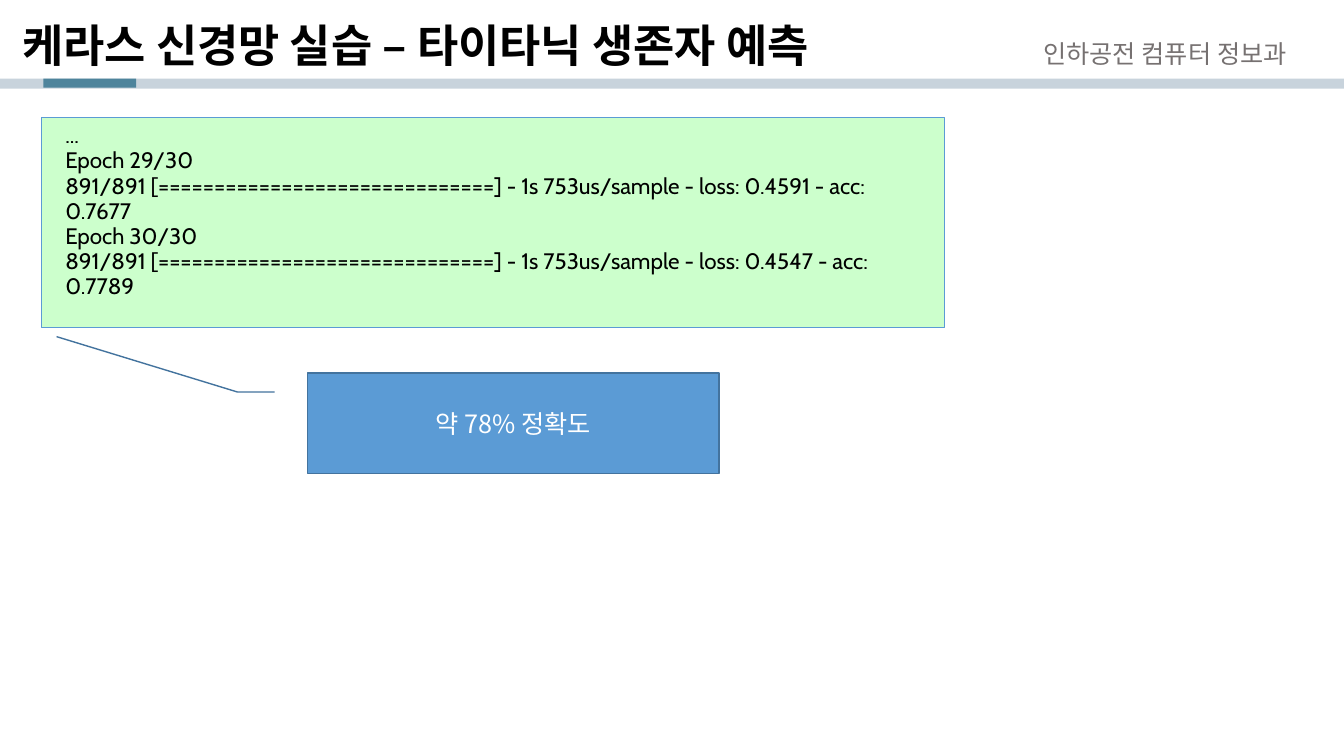
from dataclasses import dataclass
from typing import Optional

from lxml import etree
from pptx import Presentation
from pptx.dml import color
from pptx.enum import shapes, text
from pptx.oxml import ns
from pptx.util import Inches, Pt

HUES = {
    "rail": "98ACBD", "mark": "4E849C", "mint": "CCFFCC", "blue": "5B9BD5",
    "edge": "43739E", "gray": "767171", "black": "000000", "white": "FFFFFF",
}
SANS = "Noto Sans CJK KR"
KIND = shapes.MSO_SHAPE
LOG = """...
Epoch 29/30
891/891 [==============================] - 1s 753us/sample - loss: 0.4591 - acc: 0.7677
Epoch 30/30
891/891 [==============================] - 1s 753us/sample - loss: 0.4547 - acc: 0.7789"""


@dataclass
class Box:
    left: float
    top: float
    width: float
    height: float
    fill: str
    kind: KIND = KIND.RECTANGLE
    line: Optional[str] = None
    weight: float = 1
    alpha: int = 100


def hue(name: str) -> color.RGBColor:
    return color.RGBColor.from_string(HUES[name])


def place(shape, left: float, top: float, width: float, height: float) -> None:
    shape.left, shape.top = Inches(left), Inches(top)
    shape.width, shape.height = Inches(width), Inches(height)


def draw(slide, box: Box):
    shape = slide.shapes.add_shape(
        box.kind, Inches(box.left), Inches(box.top), Inches(box.width), Inches(box.height))
    shape.shadow.inherit = False
    shape.fill.solid()
    shape.fill.fore_color.rgb = hue(box.fill)
    if box.alpha < 100:
        tone = shape.fill._xPr.find(".//" + ns.qn("a:srgbClr"))
        etree.SubElement(tone, ns.qn("a:alpha"), val=str(box.alpha * 1000))
    if box.line:
        shape.line.color.rgb = hue(box.line)
        shape.line.width = Pt(box.weight)
    else:
        shape.line.fill.background()
    return shape


def write(shape, words: str, size: float, face: str, ink: str,
          align=text.PP_ALIGN.LEFT, anchor=text.MSO_ANCHOR.TOP, bold: bool = False):
    frame = shape.text_frame
    frame.text = words
    frame.vertical_anchor = anchor
    for para in frame.paragraphs:
        para.alignment = align
        for run in para.runs:
            font = run.font
            font.size, font.name, font.bold = Pt(size), face, bold
            font.color.rgb = hue(ink)
            etree.SubElement(run._r.get_or_add_rPr(), ns.qn("a:ea"), typeface=SANS)
    return frame


def head(slide) -> None:
    title = slide.shapes.title
    place(title, 0.06, 0.09, 13.22, 0.77)
    frame = write(title, "케라스 신경망 실습 – 타이타닉 생존자 예측", 32, "Calibri", "black",
                  anchor=text.MSO_ANCHOR.MIDDLE, bold=True)
    frame.auto_size = text.MSO_AUTO_SIZE.NONE
    frame.margin_left = Inches(0.16)
    frame.paragraphs[0].line_spacing = 0.9
    draw(slide, Box(0, 0.78, 13.33, 0.1, "rail", alpha=53))
    draw(slide, Box(0.43, 0.78, 0.92, 0.09, "mark"))
    label = slide.shapes.add_textbox(Inches(10.25), Inches(0.33), Inches(2.91), Inches(0.4))
    frame = write(label, "인하공전 컴퓨터 정보과", 18, SANS, "gray")
    frame.word_wrap = False
    frame.auto_size = text.MSO_AUTO_SIZE.SHAPE_TO_FIT_TEXT


def log(slide) -> None:
    panel = draw(slide, Box(0.41, 1.17, 8.96, 2.08, "mint", line="blue", weight=0.75))
    frame = write(panel, LOG, 16, "Cabin", "black")
    for para in frame.paragraphs:
        para.line_spacing = Pt(18)
        props = para._p.get_or_add_pPr()
        props.set("marL", str(Inches(0.14)))
        props.set("indent", "0")
        tabs = etree.SubElement(props, ns.qn("a:tabLst"))
        etree.SubElement(tabs, ns.qn("a:tab"), pos=str(Inches(0.28)), algn="l")


def note(slide) -> None:
    call = draw(slide, Box(3.05, 3.7, 4.08, 1, "blue", KIND.LINE_CALLOUT_2, "edge"))
    for spot, value in enumerate((0.19, -0.08, 0.19, -0.17, -0.36, -0.61)):
        call.adjustments[spot] = value
    write(call, "약 78% 정확도", 18, SANS, "white",
          text.PP_ALIGN.CENTER, text.MSO_ANCHOR.MIDDLE)


def main() -> None:
    deck = Presentation()
    deck.slide_width, deck.slide_height = Inches(13.33), Inches(7.5)
    slide = deck.slides.add_slide(deck.slide_layouts[5])
    head(slide)
    log(slide)
    note(slide)
    deck.save("out.pptx")


if __name__ == "__main__":
    main()
